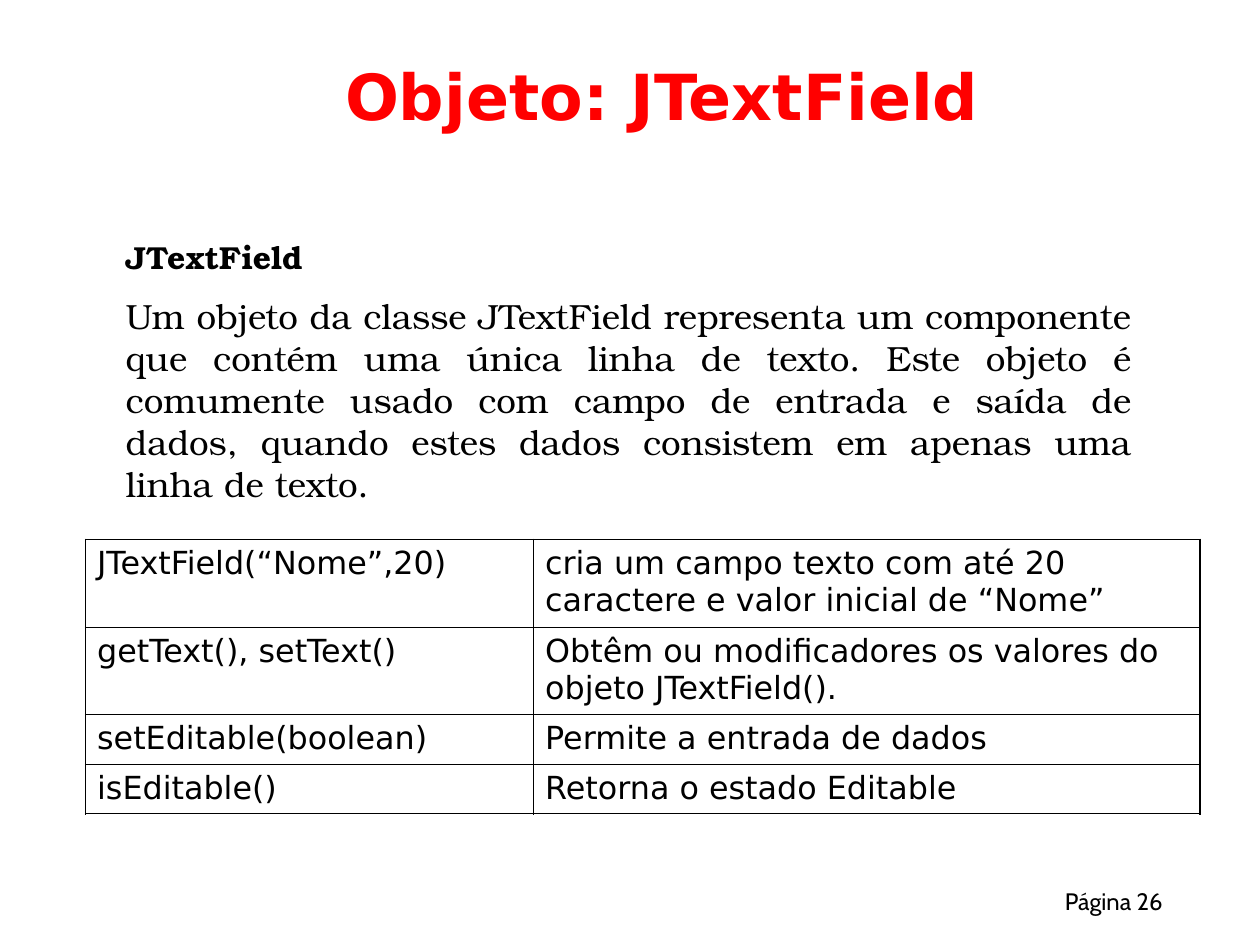
from lxml import etree
from pptx import Presentation
from pptx import util as u
from pptx.dml.color import RGBColor
from pptx.enum import text as t
from pptx.oxml import ns

TITLE = "Objeto: JTextField"
HEAD = "JTextField"
BODY = (
    "Um objeto da classe JTextField representa um componente que contém "
    "uma única linha de texto. Este objeto é comumente usado com campo de "
    "entrada e saída de dados, quando estes dados consistem em apenas uma "
    "linha de texto."
)
ROWS = [
    ("JTextField(“Nome”,20)", "cria um campo texto com até 20 caractere e valor inicial de “Nome”"),
    ("getText(), setText()", "Obtêm ou modificadores os valores do objeto JTextField()."),
    ("setEditable(boolean)", "Permite a entrada de dados"),
    ("isEditable()", "Retorna o estado Editable"),
]
PAGE = "Página 26"
WIDTHS = (3.92, 5.83)
HEIGHTS = (0.77, 0.76, 0.44, 0.43)
OUTER, INNER = 1.08, 0.45
BLACK, RED = "000000", "FF0000"
SANS, SERIF, SMALL = "DejaVu Sans", "TeX Gyre Bonum", "Cabin"


def paint(par, font, size, color=BLACK, bold=False, align=t.PP_ALIGN.LEFT):
    par.alignment = align
    par.space_before = u.Pt(0)
    for run in par.runs:
        run.font.name = font
        run.font.size = u.Pt(size)
        run.font.bold = bold
        run.font.color.rgb = RGBColor.from_string(color)


def place(shape, left, top, width, height):
    shape.left, shape.top = u.Inches(left), u.Inches(top)
    shape.width, shape.height = u.Inches(width), u.Inches(height)


def frame(shape, anchor, side=0.1, edge=0.05):
    box = shape.text_frame
    box.word_wrap = True
    box.auto_size = t.MSO_AUTO_SIZE.NONE
    box.vertical_anchor = anchor
    box.margin_left = box.margin_right = u.Inches(side)
    box.margin_top = box.margin_bottom = u.Inches(edge)
    return box


def border(cell, side, width):
    props = cell._tc.get_or_add_tcPr()
    line = etree.SubElement(props, ns.qn("a:ln" + side), w=str(u.Pt(width)))
    fill = etree.SubElement(line, ns.qn("a:solidFill"))
    etree.SubElement(fill, ns.qn("a:srgbClr"), val=BLACK)


def add_grid(slide):
    item = slide.shapes.add_table(
        len(ROWS), len(WIDTHS), u.Inches(0.75), u.Inches(4.72),
        u.Inches(sum(WIDTHS)), u.Inches(sum(HEIGHTS)))
    grid = item.table
    grid.first_row = grid.horz_banding = False
    for col, width in zip(grid.columns, WIDTHS):
        col.width = u.Inches(width)
    for r, (row, height) in enumerate(zip(grid.rows, HEIGHTS)):
        row.height = u.Inches(height)
        for c, cell in enumerate(row.cells):
            cell.text = ROWS[r][c]
            paint(cell.text_frame.paragraphs[0], SANS, 20)
            ends = {"L": c == 0, "R": c == len(WIDTHS) - 1,
                    "T": r == 0, "B": r == len(ROWS) - 1}
            for side, end in ends.items():
                border(cell, side, OUTER if end else INNER)
            cell.fill.background()


def main():
    deck = Presentation()
    deck.slide_width, deck.slide_height = u.Cm(28), u.Cm(21)
    slide = deck.slides.add_slide(deck.slide_layouts[1])

    title, body = slide.placeholders
    place(title, 1.58, 0.5, 8.42, 0.67)
    box = frame(title, t.MSO_ANCHOR.MIDDLE, 0, 0)
    box.text = TITLE
    paint(box.paragraphs[0], SANS, 40, RED, True, t.PP_ALIGN.CENTER)

    place(body, 1, 2.03, 9, 2.44)
    box = frame(body, t.MSO_ANCHOR.TOP)
    box.text = HEAD + "\n" + BODY
    head, main_par = box.paragraphs
    paint(head, SERIF, 20, bold=True, align=t.PP_ALIGN.JUSTIFY)
    paint(main_par, SERIF, 22, align=t.PP_ALIGN.JUSTIFY)
    main_par.space_before = u.Pt(12)
    for par in box.paragraphs:
        props = par._p.get_or_add_pPr()
        props.set("marL", "0")
        props.set("indent", "0")
        etree.SubElement(props, ns.qn("a:buNone"))

    add_grid(slide)

    page = slide.shapes.add_textbox(0, 0, 0, 0)
    place(page, 7.79, 7.66, 2.48, 0.44)
    box = frame(page, t.MSO_ANCHOR.MIDDLE)
    box.text = PAGE
    paint(box.paragraphs[0], SMALL, 15, align=t.PP_ALIGN.RIGHT)

    deck.save("out.pptx")


if __name__ == "__main__":
    main()
